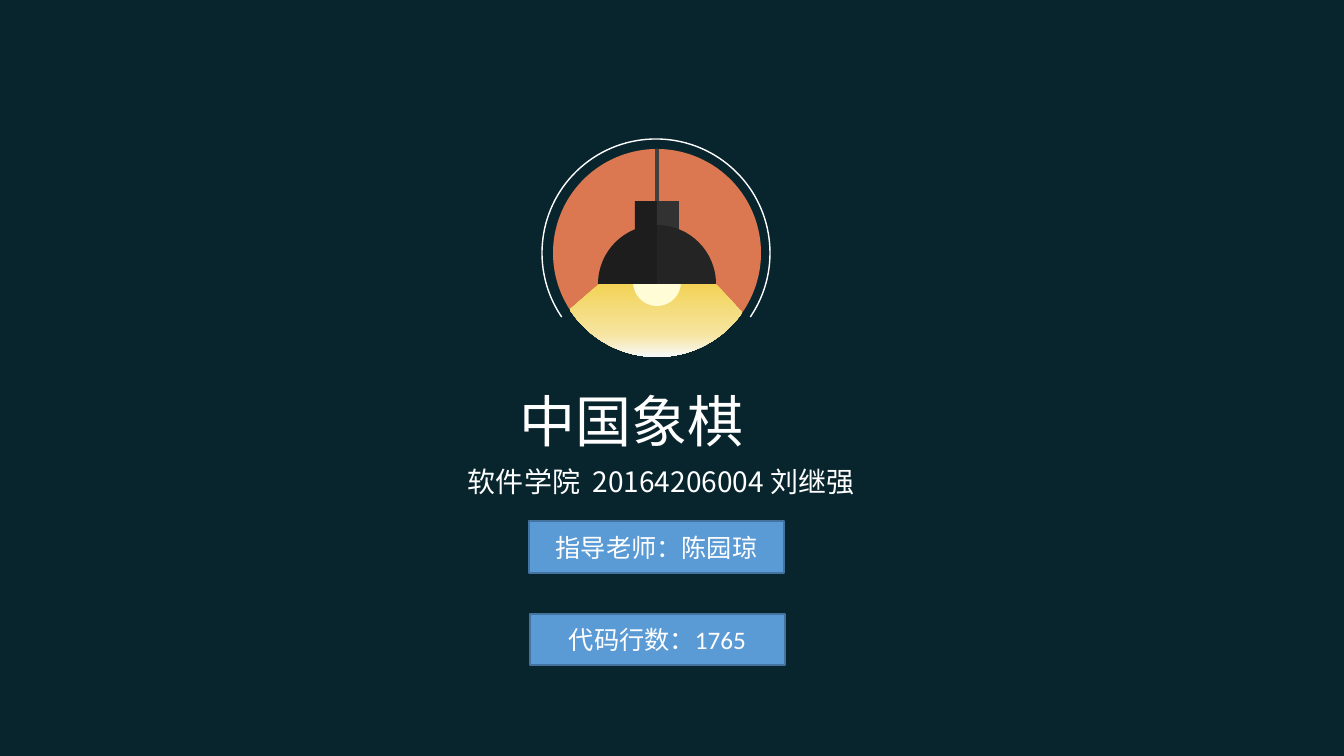
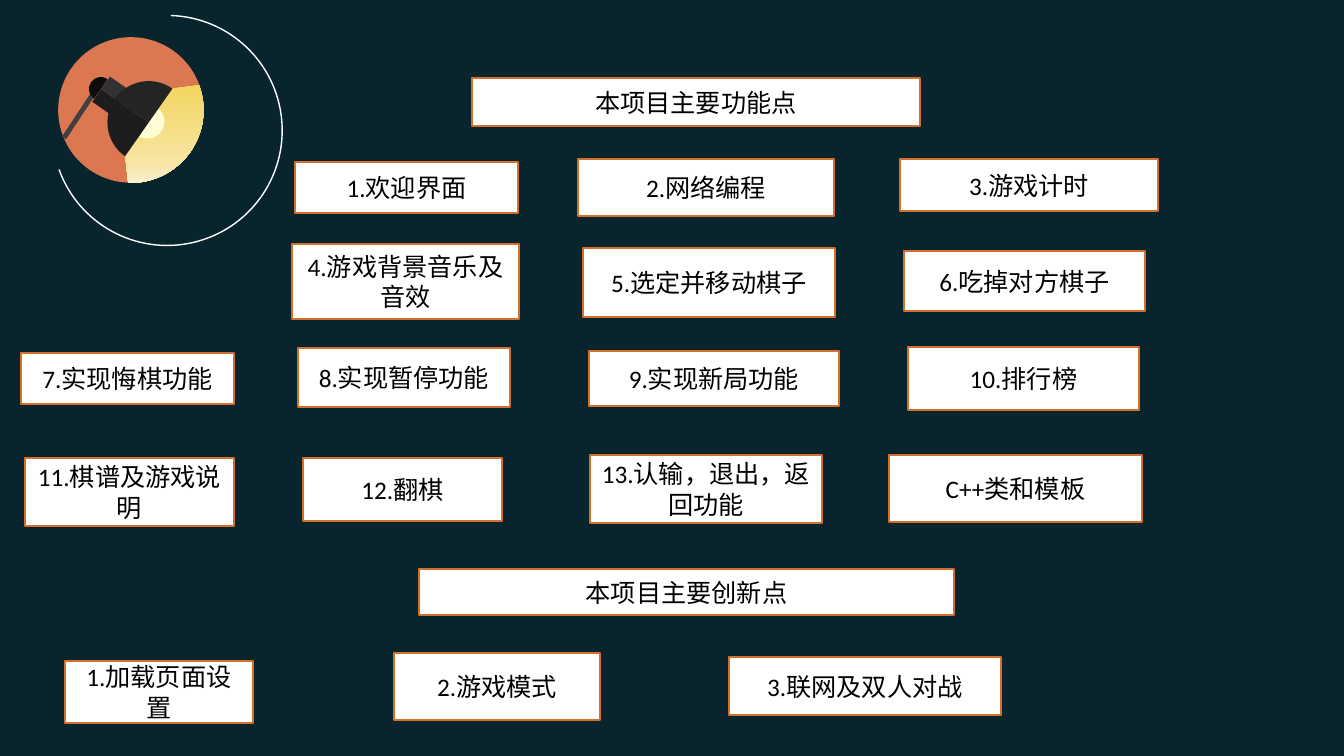
from dataclasses import dataclass
from math import ceil, cos, sin, tan, radians
from lxml.etree import SubElement
from pptx import Presentation
from pptx.dml.color import RGBColor
from pptx.enum.shapes import MSO_CONNECTOR, MSO_SHAPE
from pptx.enum.text import MSO_ANCHOR, MSO_AUTO_SIZE, PP_ALIGN
from pptx.oxml.ns import qn
from pptx.util import Emu, Pt

# Shared look
SCALE = 914400 / 100.8
NIGHT, WHITE, BLACK = "08252D", "FFFFFF", "000000"
CLAY, CORD, BULB = "DB7851", "404040", "FFFCD6"
DARK, SHADE, CAP, JOINT = "1D1D1E", "242424", "323232", "0D0D0D"
BLUE, NAVY, RUST = "5B9BD5", "43739E", "D4702B"
GLOW = [(0, "F3D255"), (37, "F4DD7F"), (70, "F7E5A3"), (100, "F7FAFD")]
LATIN, HAN = "Calibri", "Noto Sans CJK SC"

Point = tuple[float, float]


@dataclass
class Box:
    x: int
    y: int
    w: int
    h: int
    text: str
    fill: str = WHITE
    line: str = RUST
    ink: str = BLACK
    form: MSO_SHAPE = MSO_SHAPE.FLOWCHART_PROCESS


@dataclass
class Lamp:
    x: int
    y: int
    size: float
    turn: int
    cord: tuple[int, int, int, int]

    def at(self, x: float, y: float) -> Point:
        """Slide position of a point measured from the lamp's centre."""
        c, s = cos(radians(self.turn)), sin(radians(self.turn))
        return (self.x + self.size * (x * c - y * s),
                self.y + self.size * (x * s + y * c))


@dataclass
class Path:
    """Bezier points first, then the corners joined by straight lines."""
    curve: list[Point]
    rest: list[Point]
    frame: tuple[float, float, float, float]


def px(value: float) -> Emu:
    return Emu(round(value * SCALE))


def tint(code: str) -> RGBColor:
    return RGBColor.from_string(code)


def paint(shape, fill: str = "", line: str = "") -> None:
    if fill:
        shape.fill.solid()
        shape.fill.fore_color.rgb = tint(fill)
    else:
        shape.fill.background()
    if line:
        shape.line.color.rgb = tint(line)
        shape.line.width = Pt(1)
    else:
        shape.line.fill.background()


def write(shape, text: str, size: int, ink: str, face: str, align, anchor,
          left: int = 10, gap: int = 0) -> None:
    """Set one line of text; gap widens its first space."""
    frame = shape.text_frame
    look = {"word_wrap": True, "auto_size": MSO_AUTO_SIZE.NONE,
            "vertical_anchor": anchor, "margin_left": px(left),
            "margin_right": px(10), "margin_top": px(5),
            "margin_bottom": px(5)}
    for key, value in look.items():
        setattr(frame, key, value)
    para = frame.paragraphs[0]
    para.alignment = align
    for piece in text.partition(" ") if gap else [text]:
        run = para.add_run()
        run.text = piece
        for key, value in {"size": Pt(size), "name": face}.items():
            setattr(run.font, key, value)
        run.font.color.rgb = tint(ink)
        SubElement(run.font._element, qn("a:ea"), typeface=HAN)
        if piece == " ":
            run.font._element.set("spc", str(gap))


def place(shape, x: int, y: int, w: int, h: int) -> None:
    spots = {"left": x, "top": y, "width": w, "height": h}
    for key, value in spots.items():
        setattr(shape, key, px(value))


def dress(shape, box: Box) -> None:
    paint(shape, box.fill, box.line)
    write(shape, box.text, 18, box.ink, LATIN, PP_ALIGN.CENTER,
          MSO_ANCHOR.MIDDLE)


def draw_box(slide, box: Box) -> None:
    shape = slide.shapes.add_shape(box.form, px(box.x), px(box.y),
                                   px(box.w), px(box.h))
    shape.shadow.inherit = False
    dress(shape, box)


def arc(x: float, y: float, r: float, start: int, end: int) -> list[Point]:
    """Bezier points on a circle; angles run clockwise from the right."""
    count = ceil((end - start) / 90)
    step = radians((end - start) / count)
    pull = r * 4 / 3 * tan(step / 4)
    dots = [(x + r * cos(radians(start)), y + r * sin(radians(start)))]
    for i in range(count):
        a = radians(start) + i * step
        b = a + step
        tip = (x + r * cos(b), y + r * sin(b))
        dots += [(dots[-1][0] - pull * sin(a), dots[-1][1] + pull * cos(a)),
                 (tip[0] + pull * sin(b), tip[1] - pull * cos(b)), tip]
    return dots


def wedge(x: float, y: float, r: float, start: int, end: int) -> Path:
    return Path(arc(x, y, r, start, end), [(x, y)],
                (x - r, y - r, 2 * r, 2 * r))


def outline(shapes, form: Path, fill: str = "", line: str = "",
            turn: float = 0):
    x, y, w, h = form.frame
    dots = [(px(a), px(b)) for a, b in form.curve + form.rest]
    # Two moves hold the frame open and are dropped afterwards
    pen = shapes.build_freeform(px(x), px(y), scale=1.0)
    pen.move_to(px(x + w), px(y + h))
    pen.move_to(*dots[0])
    pen.add_line_segments(dots[1:], close=True)
    shape = pen.convert_to_shape()
    track = shape._element.find(".//" + qn("a:path"))
    for move in track.findall(qn("a:moveTo"))[:2]:
        track.remove(move)
    lines = track.findall(qn("a:lnTo"))
    for i in range(0, len(form.curve) - 1, 3):
        bend = track.makeelement(qn("a:cubicBezTo"))
        lines[i].addprevious(bend)
        for old in lines[i:i + 3]:
            bend.append(old[0])
            track.remove(old)
    shape.rotation = turn
    shape.shadow.inherit = False
    paint(shape, fill, line)
    return shape


def ring(slide, x: int, y: int, r: int, turn: int) -> None:
    bow = arc(x, y, r, 146, 394)
    loop = Path(bow + bow[-2::-1], [], (x - r, y - r, 2 * r, 2 * r))
    outline(slide.shapes, loop, line=WHITE, turn=turn)


def glow(shape) -> None:
    shape.fill.gradient()
    shape.fill.gradient_angle = 270
    stops = shape._element.spPr.find(".//" + qn("a:gsLst"))
    stops.getparent().set("rotWithShape", "0")
    for old in list(stops):
        stops.remove(old)
    for pos, code in GLOW:
        stop = SubElement(stops, qn("a:gs"), pos=str(pos * 1000))
        SubElement(stop, qn("a:srgbClr"), val=code)


def draw_lamp(shapes, lamp: Lamp) -> None:
    def block(form, x: int, y: int, w: int, h: int, fill: str) -> None:
        cx, cy = lamp.at(x + w / 2, y + h / 2)
        w, h = w * lamp.size, h * lamp.size
        shape = shapes.add_shape(form, px(cx - w / 2), px(cy - h / 2),
                                 px(w), px(h))
        shape.rotation = lamp.turn
        shape.shadow.inherit = False
        paint(shape, fill)

    def part(form: Path, fill: str, spin: int = 0):
        x, y, w, h = form.frame
        mx, my, k = x + w / 2, y + h / 2, lamp.size
        cx, cy = lamp.at(mx, my)

        def fit(dots: list[Point]) -> list[Point]:
            return [(cx + k * (a - mx), cy + k * (b - my)) for a, b in dots]

        frame = (cx - k * w / 2, cy - k * h / 2, k * w, k * h)
        return outline(shapes, Path(fit(form.curve), fit(form.rest), frame),
                       fill, turn=(lamp.turn + spin) % 360)

    # Disc and cord
    block(MSO_SHAPE.OVAL, -104, -104, 208, 208, CLAY)
    cord = shapes.add_connector(MSO_CONNECTOR.STRAIGHT,
                                *[px(v) for v in lamp.cord])
    cord.line.color.rgb = tint(CORD)
    cord.line.width = Pt(3.5)
    SubElement(cord._element.spPr, qn("a:effectLst"))
    # Light and bulb
    beam = Path(arc(0, 0, 104, 35, 147), [(-58, 31), (59, 31)],
                (-87, 31, 173, 73))
    glow(part(beam, BULB))
    part(wedge(0, 29, 24, 90, 270), BULB, 270)
    # Cap and dome, each in two tones
    for x, fill in ((-22, DARK), (0, CAP)):
        block(MSO_SHAPE.RECTANGLE, x, -52, 22, 31, fill)
    for start, fill in ((180, DARK), (270, SHADE)):
        part(wedge(0, 31, 59, start, start + 90), fill)


prs = Presentation()
prs.slide_width, prs.slide_height = px(1344), px(756)
back = prs.slide_master.background.fill
back.solid()
back.fore_color.rgb = tint(NIGHT)
layout = prs.slide_layouts[5]

# Slide 1: cover
cover = prs.slides.add_slide(layout)
draw_lamp(cover.shapes.add_group_shape().shapes,
          Lamp(657, 253, 1, 0, (657, 149, 657, 202)))
name = cover.shapes.title
place(name, 422, 381, 480, 78)
write(name, "中国象棋", 40, WHITE, HAN, PP_ALIGN.LEFT, MSO_ANCHOR.TOP, 98)
author = cover.shapes.add_textbox(px(413), px(459), px(509), px(44))
write(author, "软件学院 20164206004 刘继强", 20, WHITE, HAN,
      PP_ALIGN.LEFT, MSO_ANCHOR.TOP, 55, 450)
ring(cover, 656, 253, 114, 0)
for x, y, h, text in ((530, 614, 51, "代码行数：1765"),
                      (529, 521, 52, "指导老师：陈园琼")):
    draw_box(cover, Box(x, y, 255, h, text, BLUE, NAVY, WHITE,
                        MSO_SHAPE.RECTANGLE))

# Slide 2: features
tour = prs.slides.add_slide(layout)
ring(tour, 171, 138, 115, 126)
draw_lamp(tour.shapes, Lamp(131, 110, 0.7, 305, (64, 138, 97, 88)))
outline(tour.shapes, wedge(101, 89, 12, 92, 270), JOINT, turn=33.9)
head = Box(472, 78, 448, 48, "本项目主要功能点")
place(tour.shapes.title, head.x, head.y, head.w, head.h)
dress(tour.shapes.title, head)

BOXES = [
    Box(295, 162, 223, 51, "1.欢迎界面"),
    Box(578, 159, 256, 57, "2.网络编程"),
    Box(900, 159, 258, 52, "3.游戏计时"),
    Box(292, 244, 227, 75, "4.游戏背景音乐及音效"),
    Box(583, 248, 252, 69, "5.选定并移动棋子"),
    Box(904, 251, 241, 60, "6.吃掉对方棋子"),
    Box(21, 353, 213, 51, "7.实现悔棋功能"),
    Box(298, 348, 212, 59, "8.实现暂停功能"),
    Box(589, 351, 250, 55, "9.实现新局功能"),
    Box(908, 347, 231, 63, "10.排行榜"),
    Box(25, 458, 209, 68, "11.棋谱及游戏说明"),
    Box(303, 458, 199, 63, "12.翻棋"),
    Box(590, 455, 232, 68, "13.认输，退出，返回功能"),
    Box(889, 455, 253, 67, "C++类和模板"),
    Box(419, 569, 535, 46, "本项目主要创新点"),
    Box(65, 661, 188, 62, "1.加载页面设置"),
    Box(394, 653, 206, 67, "2.游戏模式"),
    Box(729, 657, 272, 58, "3.联网及双人对战", form=MSO_SHAPE.RECTANGLE),
]
for box in BOXES:
    draw_box(tour, box)

prs.save("out.pptx")
